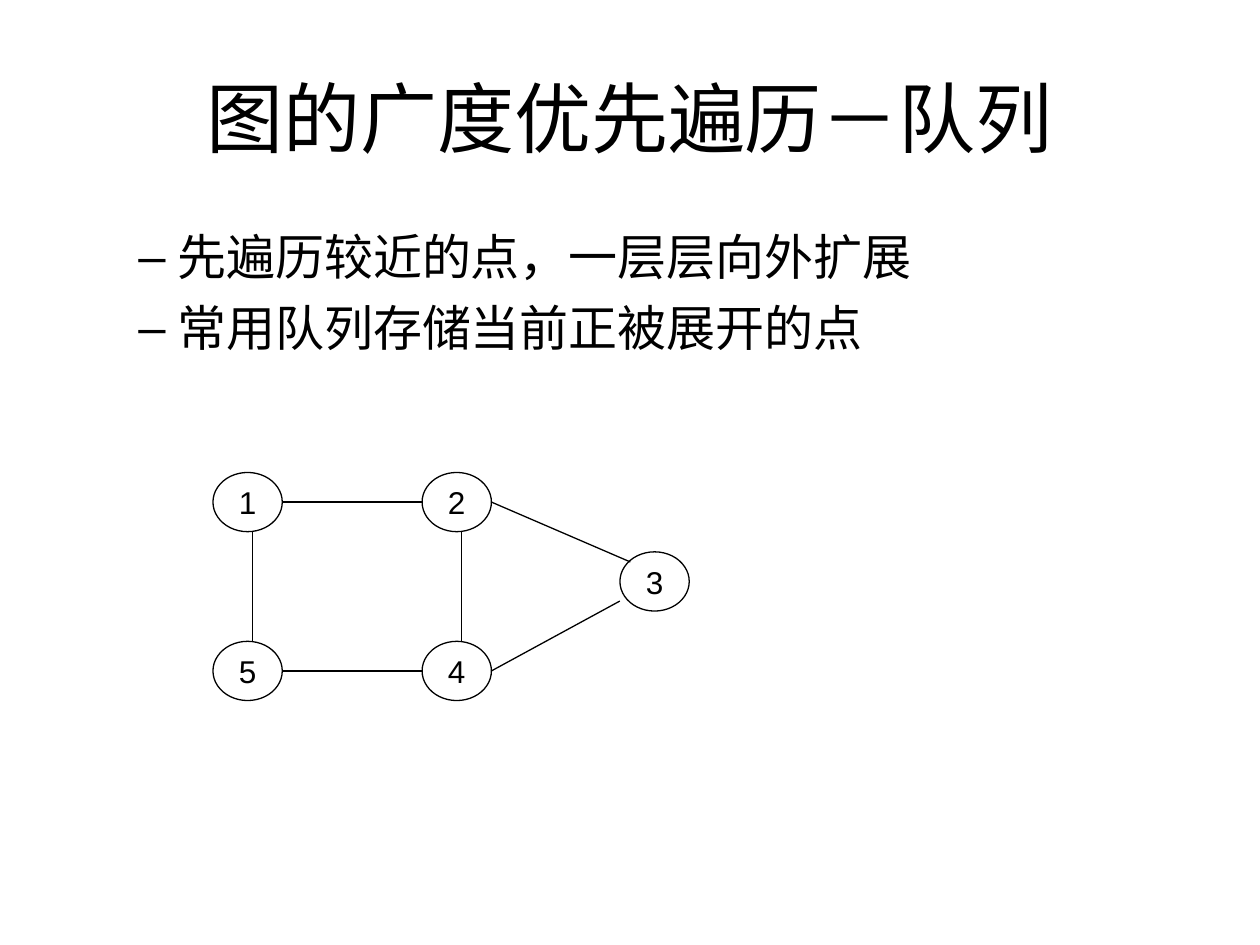
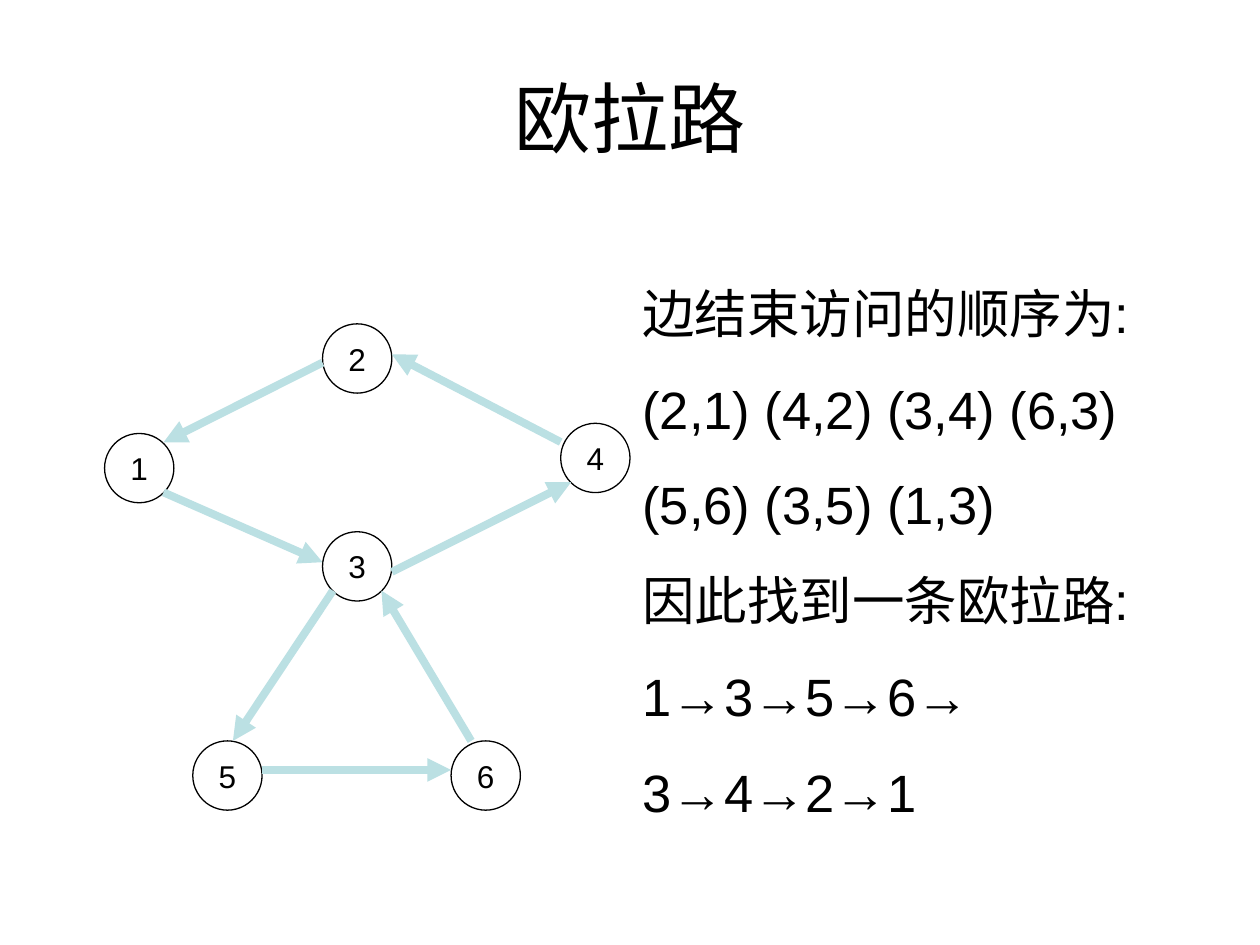
from lxml import etree
from pptx import Presentation
from pptx.dml.color import RGBColor
from pptx.enum import shapes, text
from pptx.oxml import ns
from pptx import util as u

COLORS = {"ink": "000000", "paper": "FFFFFF", "path": "BBE0E3"}
FONT = "Arial"
COLUMNS, ROWS = 100, 75


def color(name):
    return RGBColor.from_string(COLORS[name])


def add_element(parent, tag, **attributes):
    return etree.SubElement(parent, ns.qn(tag), attributes)


class Sketch:
    """Holds the shared style and the page being drawn."""

    def __init__(self):
        self.deck = Presentation()
        self.deck.slide_width, self.deck.slide_height = u.Inches(10), u.Inches(7.5)
        self.page = None

    def x(self, columns):
        return round(self.deck.slide_width * columns / COLUMNS)

    def y(self, rows):
        return round(self.deck.slide_height * rows / ROWS)

    def place(self, left, top, width, height):
        return self.x(left), self.y(top), self.x(width), self.y(height)

    def style(self, para, size):
        for span in para.runs:
            span.font.size, span.font.name = u.Pt(size), FONT
            span.font.color.rgb = color("ink")

    def new_page(self, title):
        self.page = self.deck.slides.add_slide(self.deck.slide_layouts[6])
        box = self.text([title], (5, 3, 90, 12.5), 44)
        box.text_frame.vertical_anchor = text.MSO_ANCHOR.MIDDLE
        box.text_frame.paragraphs[0].alignment = text.PP_ALIGN.CENTER

    def text(self, lines, area, size, gap=0, dash=False):
        box = self.page.shapes.add_textbox(*self.place(*area))
        box.text_frame.word_wrap = True
        box.text_frame.text = "\n".join(lines)
        for number, para in enumerate(box.text_frame.paragraphs):
            if number:
                para.space_before = u.Pt(gap)
            if dash:
                self.dash(para)
            self.style(para, size)
        return box

    def dash(self, para):
        properties = para._p.get_or_add_pPr()
        properties.set("marL", str(self.x(8.1)))
        properties.set("indent", str(-self.x(3.1)))
        add_element(properties, "a:buFont", typeface=FONT)
        add_element(properties, "a:buChar", char="–")

    def node(self, label, left, top, width, height):
        circle = self.page.shapes.add_shape(
            shapes.MSO_SHAPE.OVAL, *self.place(left, top, width, height))
        circle.shadow.inherit = False
        circle.fill.solid()
        circle.fill.fore_color.rgb = color("paper")
        circle.line.color.rgb = color("ink")
        circle.line.width = u.Pt(0.75)
        frame = circle.text_frame
        frame.word_wrap = False
        frame.vertical_anchor = text.MSO_ANCHOR.MIDDLE
        frame.text = label
        frame.paragraphs[0].alignment = text.PP_ALIGN.CENTER
        self.style(frame.paragraphs[0], 18)
        return circle

    def edge(self, start, end, ink, weight, arrow):
        """Join two points, each a node and shares of its width and height."""
        points = [round(value) for node, across, down in (start, end)
                  for value in (node.left + node.width * across,
                                node.top + node.height * down)]
        line = self.page.shapes.add_connector(shapes.MSO_CONNECTOR.STRAIGHT, *points)
        line.line.color.rgb = color(ink)
        line.line.width = u.Pt(weight)
        if arrow:
            add_element(line.line._get_or_add_ln(), "a:tailEnd", type="triangle")
        add_element(line._element.spPr, "a:effectLst")

    def graph(self, places, size, edges, ink="ink", weight=0.75, arrow=False):
        nodes = {label: self.node(label, *place, *size)
                 for label, place in places.items()}
        for first, leave, second, arrive in edges:
            self.edge((nodes[first], *leave), (nodes[second], *arrive),
                      ink, weight, arrow)


def breadth_first_page(sketch):
    sketch.new_page("图的广度优先遍历－队列")
    sketch.text(["先遍历较近的点，一层层向外扩展", "常用队列存储当前正被展开的点"],
                (5, 17.5, 90, 49.5), 28, gap=7, dash=True)

    # Square of four nodes with a fifth at the right
    left, middle, right = 16.9, 33.5, 49.2
    upper, centre, lower = 37.5, 43.8, 50.9
    places = {"1": (left, upper), "2": (middle, upper), "5": (left, lower),
              "3": (right, centre), "4": (middle, lower)}
    east, west = (1, 0.5), (0, 0.5)
    south, north = (0.57, 1), (0.57, 0)
    edges = [("1", east, "2", west), ("1", south, "5", north),
             ("2", south, "4", north), ("5", east, "4", west),
             ("2", east, "3", (0.15, 0.17)), ("4", east, "3", (0, 0.83))]
    sketch.graph(places, (5.5, 4.7), edges)


def euler_page(sketch):
    sketch.new_page("欧拉路")

    # Directed graph
    places = {"1": (8.3, 34.4), "2": (25.6, 25.7), "3": (25.6, 42.2),
              "4": (44.5, 33.6), "5": (15.3, 58.8), "6": (35.8, 58.8)}
    lower_left, lower_right = (0.15, 0.85), (0.85, 0.85)
    edges = [("2", (0, 0.56), "1", (0.85, 0.13)),
             ("4", (0, 0.27), "2", (1, 0.44)),
             ("3", (1, 0.58), "4", lower_left),
             ("1", lower_right, "3", (0, 0.44)),
             ("3", lower_left, "5", (0.58, 0)),
             ("5", (1, 0.42), "6", (0, 0.42)),
             ("6", (0.29, 0), "3", lower_right)]
    sketch.graph(places, (5.5, 5.5), edges, ink="path", weight=4.5, arrow=True)

    # Order of the edges and the path found
    sketch.text(["边结束访问的顺序为:", "(2,1) (4,2) (3,4) (6,3)", "(5,6) (3,5) (1,3)",
                 "因此找到一条欧拉路:", "1→3→5→6→", "3→4→2→1"],
                (50, 21.8, 44.1, 44), 30, gap=18.7)


def main():
    sketch = Sketch()
    breadth_first_page(sketch)
    euler_page(sketch)
    sketch.deck.save("out.pptx")


if __name__ == "__main__":
    main()
